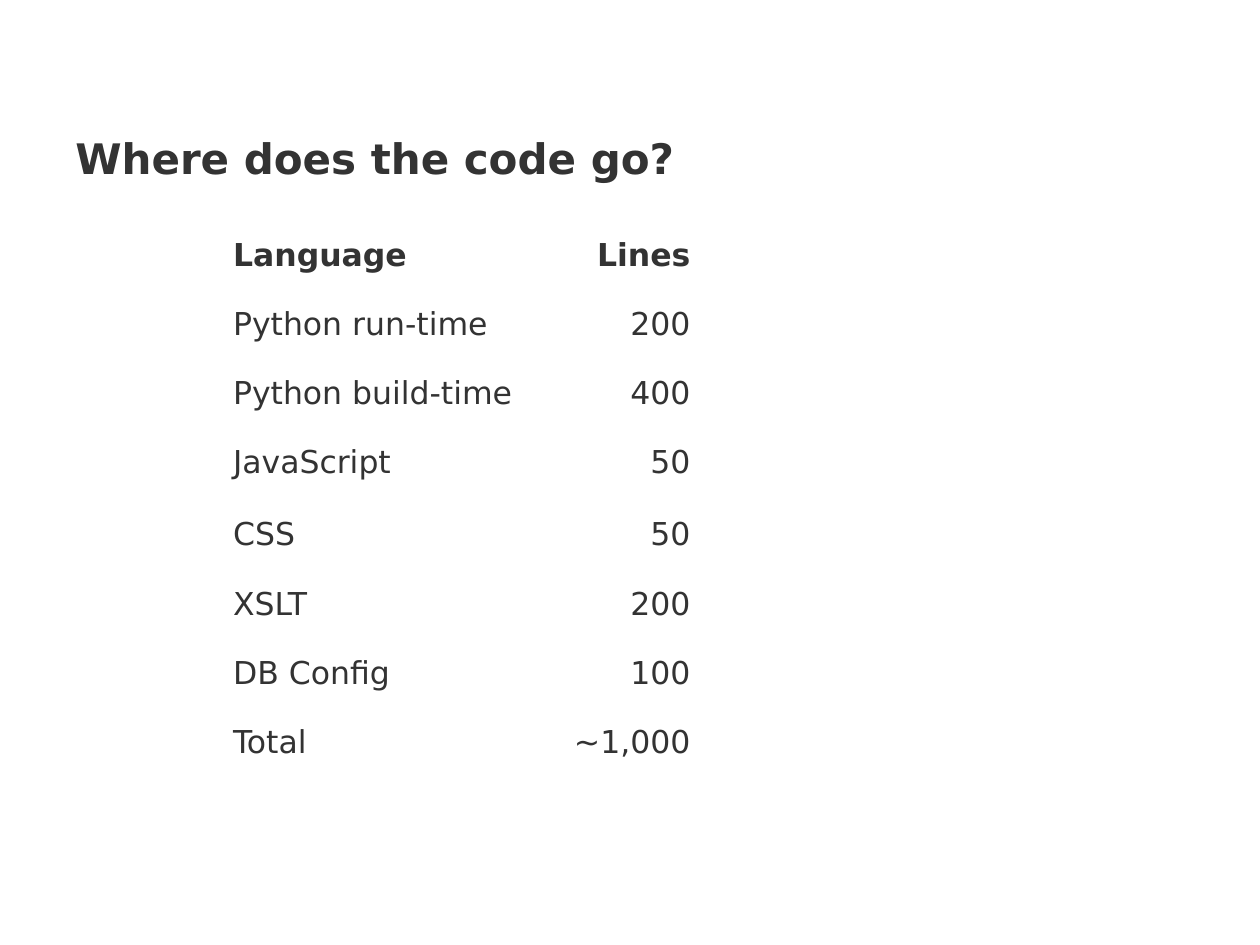
import pptx
import pptx.dml.color
import pptx.enum.text
import pptx.util
from pptx.util import Inches

TEXT_COLOR = pptx.dml.color.RGBColor(0x33, 0x33, 0x33)
ALIGN = pptx.enum.text.PP_ALIGN
FORMATS = {
    "title": {"name": "DejaVu Sans", "size": pptx.util.Pt(24), "bold": True},
    "header": {"name": "DejaVu Sans", "size": pptx.util.Pt(18), "bold": True},
    "body": {"name": "DejaVu Sans", "size": pptx.util.Pt(18), "bold": False},
}
LINE_COUNTS = [
    ("Language", "Lines"),
    ("Python run-time", "200"),
    ("Python build-time", "400"),
    ("JavaScript", "50"),
    ("CSS", "50"),
    ("XSLT", "200"),
    ("DB Config", "100"),
    ("Total", "~1,000"),
]


def write_text(frame, text, style, alignment=ALIGN.LEFT):
    para = frame.paragraphs[0]
    para.alignment = alignment
    span = para.add_run()
    span.text = text
    for attribute, value in FORMATS[style].items():
        setattr(span.font, attribute, value)
    span.font.color.rgb = TEXT_COLOR


deck = pptx.Presentation()
deck.slide_width = Inches(10)
deck.slide_height = Inches(7.5)
page = deck.slides.add_slide(deck.slide_layouts[6])

# Title
box = page.shapes.add_textbox(Inches(0.5), Inches(1), Inches(9), Inches(1))
box.text_frame.word_wrap = True
write_text(box.text_frame, "Where does the code go?", "title")

# Table of lines per language, without banding
table = page.shapes.add_table(
    len(LINE_COUNTS), 2, Inches(1.75), Inches(1.83), Inches(3.83), Inches(4.42)
).table
table.first_row = False
table.horz_banding = False
table.columns[0].width = Inches(2.54)
table.columns[1].width = Inches(1.29)
for row in table.rows:
    row.height = Inches(0.55)
table.rows[3].height = Inches(0.57)

# Names to the left, counts to the right
for row_index, entries in enumerate(LINE_COUNTS):
    style = "header" if row_index == 0 else "body"
    for column_index, alignment in enumerate((ALIGN.LEFT, ALIGN.RIGHT)):
        cell = table.cell(row_index, column_index)
        cell.fill.background()
        write_text(cell.text_frame, entries[column_index], style, alignment)

deck.save("out.pptx")
